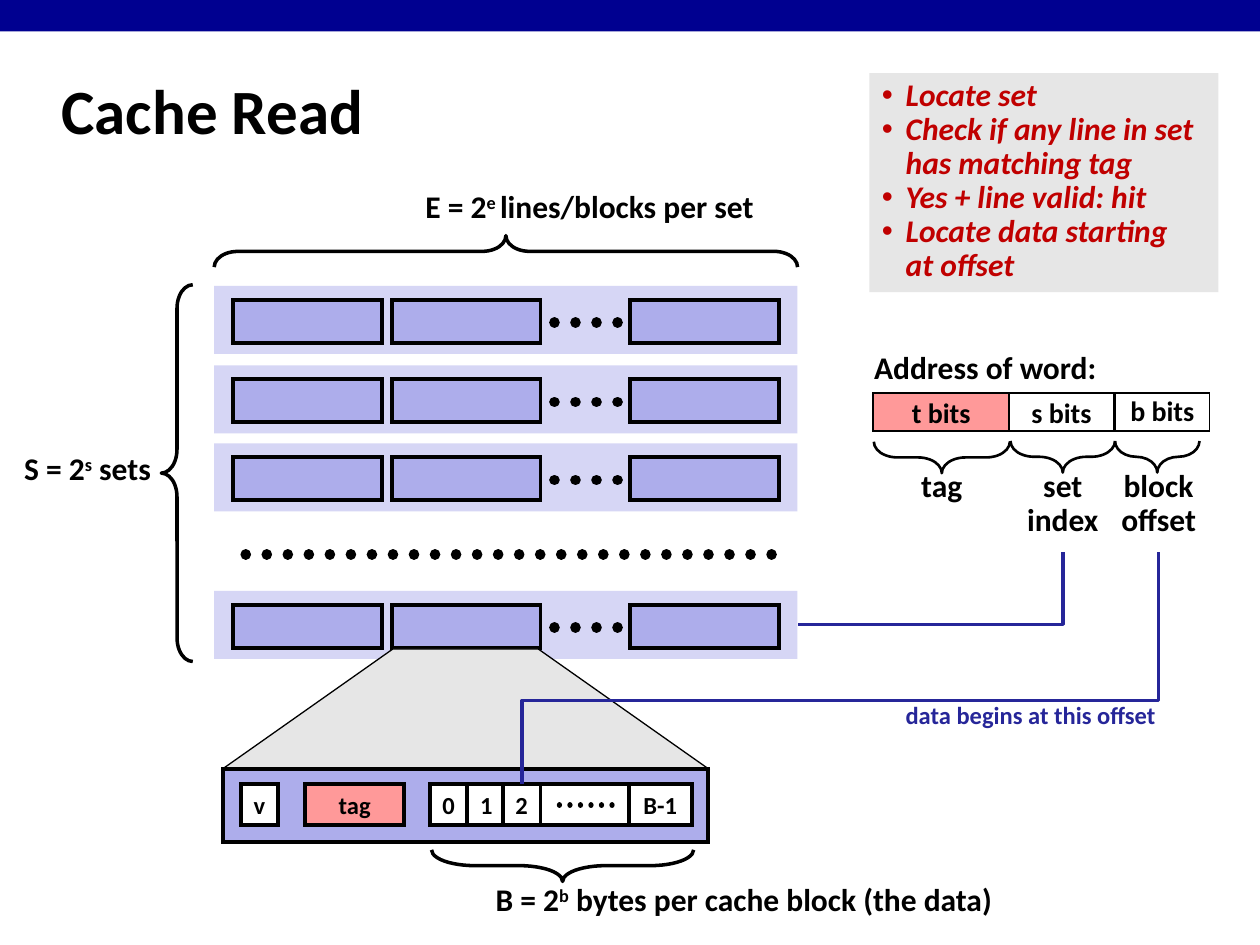
from dataclasses import dataclass
from typing import Optional, Union

from lxml import etree
from pptx import Presentation
from pptx.dml.color import RGBColor
from pptx.enum.dml import MSO_LINE
from pptx.enum.shapes import MSO_CONNECTOR, MSO_SHAPE
from pptx.enum.text import MSO_ANCHOR, PP_ALIGN
from pptx.oxml.ns import qn
from pptx.shapes.autoshape import Shape
from pptx.shapes.connector import Connector
from pptx.shapes.shapetree import GroupShapes, SlideShapes
from pptx.util import Inches, Pt

RECT, TRAPEZOID, BRACE = MSO_SHAPE.RECTANGLE, MSO_SHAPE.TRAPEZOID, MSO_SHAPE.LEFT_BRACE
STRAIGHT, ELBOW = MSO_CONNECTOR.STRAIGHT, MSO_CONNECTOR.ELBOW
LEFT, CENTER = PP_ALIGN.LEFT, PP_ALIGN.CENTER
MIDDLE, TOP = MSO_ANCHOR.MIDDLE, MSO_ANCHOR.TOP
SYS_DOT = MSO_LINE.ROUND_DOT
Shapes = Union[SlideShapes, GroupShapes]


@dataclass(frozen=True)
class Theme:
    font: str = "Calibri"
    black: str = "000000"
    white: str = "FFFFFF"
    navy: str = "000090"
    set_fill: str = "D6D6F5"
    line_fill: str = "ADADEB"
    tag_fill: str = "FF9999"
    gray: str = "E6E6E6"
    path_blue: str = "262699"
    red: str = "C00000"
    title: int = 36
    label: int = 18
    field: int = 16
    small: int = 14


@dataclass(frozen=True)
class Box:
    x: float
    y: float
    w: float
    h: float
    fill: str
    line: float = 0
    text: str = ""
    size: int = 14
    spacing: float = 1.0


@dataclass(frozen=True)
class Label:
    x: float
    y: float
    w: float
    h: float
    text: str
    size: int = 18
    color: str = "000000"
    align: PP_ALIGN = CENTER
    anchor: MSO_ANCHOR = TOP


@dataclass(frozen=True)
class Brace:
    x: float
    y: float
    h: float
    rotation: int = 0
    curve: float = 0.75
    line: float = 2


T = Theme()


def rgb(color: str) -> RGBColor:
    return RGBColor.from_string(color)


def write(s: Shape, text: str, size: int, color: str, align: PP_ALIGN,
          spacing: float = 0.9, italic: bool = False) -> None:
    tf = s.text_frame
    tf.word_wrap = False
    for i, line in enumerate(text.split("\n")):
        p = tf.paragraphs[0] if i == 0 else tf.add_paragraph()
        p.alignment, p.line_spacing = align, spacing
        for j, part in enumerate(line.split("^")):
            if j == 0:
                p.text = part
                r = p.runs[0]
            else:
                r = p.add_run()
                r.text = part
            if j % 2:
                r.font._element.set("baseline", "30000")
        for r in p.runs:
            r.font.name, r.font.size = T.font, Pt(size)
            r.font.bold, r.font.italic = True, italic
            r.font.color.rgb = rgb(color)


def draw_box(shapes: Shapes, b: Box, kind: MSO_SHAPE = RECT) -> Shape:
    s = shapes.add_shape(kind, Inches(b.x), Inches(b.y), Inches(b.w), Inches(b.h))
    s.shadow.inherit = False
    s.fill.solid()
    s.fill.fore_color.rgb = rgb(b.fill)
    if b.line:
        s.line.color.rgb = rgb(T.black)
        s.line.width = Pt(b.line)
        etree.SubElement(s.line._get_or_add_ln(), qn("a:miter"), lim="800000")
    else:
        s.line.fill.background()
    if b.text:
        tf = s.text_frame
        tf.margin_left = tf.margin_right = tf.margin_top = tf.margin_bottom = 0
        tf.vertical_anchor = MIDDLE
        write(s, b.text, b.size, T.black, CENTER, b.spacing)
    return s


def draw_label(shapes: Shapes, label: Label) -> None:
    s = shapes.add_textbox(Inches(label.x), Inches(label.y), Inches(label.w), Inches(label.h))
    s.text_frame.vertical_anchor = label.anchor
    write(s, label.text, label.size, label.color, label.align)


def draw_brace(shapes: Shapes, b: Brace) -> None:
    s = shapes.add_shape(BRACE, Inches(b.x), Inches(b.y), Inches(0.25), Inches(b.h))
    s.shadow.inherit = False
    s.fill.background()
    s.line.color.rgb = rgb(T.black)
    s.line.width = Pt(b.line)
    s.adjustments[0] = b.curve
    s.rotation = b.rotation


def draw_line(shapes: Shapes, kind: MSO_CONNECTOR, x1: float, y1: float, x2: float, y2: float,
              color: str, width: float) -> Connector:
    c = shapes.add_connector(kind, Inches(x1), Inches(y1), Inches(x2), Inches(y2))
    c.line.color.rgb = rgb(color)
    c.line.width = Pt(width)
    etree.SubElement(c._element.spPr, qn("a:effectLst"))
    return c


def draw_dots(shapes: Shapes, x1: float, x2: float, y: float, width: float) -> None:
    c = draw_line(shapes, STRAIGHT, x1, y, x2, y, T.black, width)
    c.line.dash_style = SYS_DOT
    c.line._get_or_add_ln().set("cap", "rnd")


def draw_elbow(shapes: Shapes, x: float, y: float, w: float, h: float,
               preset: str, bend: Optional[int] = None) -> None:
    c = draw_line(shapes, ELBOW, x, y, x + w, y + h, T.path_blue, 2)
    c._element.spPr.find(qn("a:xfrm")).set("rot", "5400000")
    geom = c._element.spPr.find(qn("a:prstGeom"))
    geom.set("prst", preset)
    if bend is not None:
        guides = geom.find(qn("a:avLst"))
        etree.SubElement(guides, qn("a:gd"), name="adj1", fmla=f"val {bend}")


def draw_set(shapes: Shapes, y: float) -> None:
    group = shapes.add_group_shape().shapes
    draw_box(group, Box(1.7, y, 4.63, 0.54, T.set_fill))
    for x in (1.85, 3.11, 5):
        draw_box(group, Box(x, y + 0.11, 1.18, 0.34, T.line_fill, 2.25))
    draw_dots(group, 4.4, 5.01, y + 0.29, 6)


def draw_steps(shapes: Shapes) -> None:
    s = draw_box(shapes, Box(6.9, 0.58, 2.77, 1.74, T.gray))
    s.text_frame.vertical_anchor = TOP
    steps = ("Locate set", "Check if any line in set\vhas matching tag",
             "Yes + line valid: hit", "Locate data starting\vat offset")
    write(s, "\n".join(steps), T.label, T.red, LEFT, italic=True)
    for p in s.text_frame.paragraphs:
        pPr = p._p.get_or_add_pPr()
        pPr.set("marL", str(Inches(0.19)))
        pPr.set("indent", str(-Inches(0.19)))
        etree.SubElement(pPr, qn("a:buFont"), typeface="Arial")
        etree.SubElement(pPr, qn("a:buChar"), char="•")


def main() -> None:
    prs = Presentation()
    prs.slide_width, prs.slide_height = Inches(10), Inches(7.5)
    shapes = prs.slides.add_slide(prs.slide_layouts[6]).shapes

    draw_box(shapes, Box(0, 0, 10, 0.25, T.navy))
    for y in (2.27, 2.9, 3.52, 4.69):
        draw_set(shapes, y)
    draw_dots(shapes, 1.95, 6.19, 4.4, 6)

    zoom = draw_box(shapes, Box(1.77, 5.15, 3.85, 0.95, T.gray, 0.75), TRAPEZOID)
    zoom.adjustments[0] = 1.42
    draw_box(shapes, Box(1.77, 6.1, 3.85, 0.58, T.line_fill, 2.25))
    for x, w, text, fill in ((3.41, 0.3, "0", T.white), (3.71, 0.3, "1", T.white),
                             (3.99, 0.3, "2", T.white), (4.99, 0.5, "B-1", T.white),
                             (4.29, 0.7, "", T.white), (2.42, 0.79, "tag", T.tag_fill),
                             (1.91, 0.3, "v", T.white)):
        draw_box(shapes, Box(x, 6.22, w, 0.33, fill, 2.25, text, T.small))
    draw_dots(shapes, 4.44, 4.94, 6.39, 3)

    for x, w, text, fill, spacing in ((6.93, 1.08, "t bits", T.tag_fill, 1.0),
                                      (8.01, 0.83, "s bits", T.white, 1.0),
                                      (8.85, 0.75, "b bits", T.white, 0.9)):
        draw_box(shapes, Box(x, 3.12, w, 0.3, fill, 1, text, T.field, spacing))

    for brace in (Brace(3.89, -0.32, 4.63, 90), Brace(1.28, 2.26, 2.99),
                  Brace(4.34, 5.83, 2.08, 270, 1.37), Brace(7.35, 3.09, 1.08, 270, line=1.5),
                  Brace(8.31, 3.21, 0.83, 270, line=1.5), Brace(9.06, 3.29, 0.67, 270, line=1.5)):
        draw_brace(shapes, brace)

    draw_elbow(shapes, 7.1, 3.62, 0.57, 2.1, "bentConnector2")
    draw_elbow(shapes, 5.75, 2.78, 1.84, 5.05, "bentConnector3", 63800)

    for label in (Label(0.39, 0.49, 8.3, 0.83, "Cache Read", T.title, align=LEFT, anchor=MIDDLE),
                  Label(3.25, 1.47, 2.86, 0.37, "E = 2^e ^lines/blocks per set"),
                  Label(0.08, 3.55, 1.23, 0.4, "S = 2^s^ sets"),
                  Label(3.81, 6.97, 4.19, 0.4, "B = 2^b^ bytes per cache block (the data)"),
                  Label(6.83, 2.75, 1.98, 0.4, "Address of word:"),
                  Label(7.21, 3.68, 0.53, 0.4, "tag"),
                  Label(8.05, 3.68, 0.77, 0.71, "set\nindex"),
                  Label(8.79, 3.68, 0.81, 0.71, "block\noffset"),
                  Label(7.08, 5.53, 2.2, 0.34, "data begins at this offset", T.small, T.path_blue)):
        draw_label(shapes, label)
    draw_steps(shapes)

    prs.save("out.pptx")


if __name__ == "__main__":
    main()
